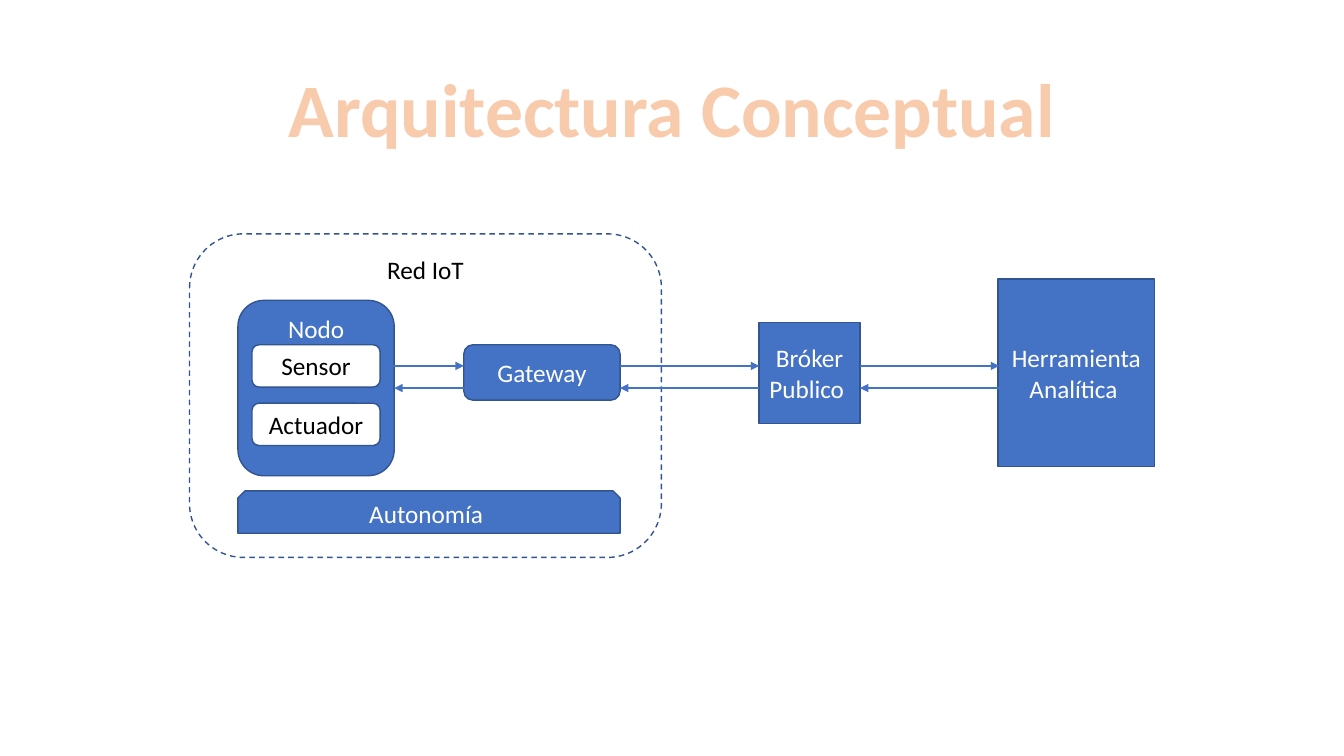
from pptx import Presentation
from pptx.dml.color import RGBColor
from pptx.enum.dml import MSO_LINE
from pptx.enum.shapes import MSO_CONNECTOR, MSO_SHAPE as SHAPE
from pptx.enum.text import MSO_ANCHOR as ANCHOR, MSO_AUTO_SIZE, PP_ALIGN
from pptx.oxml.ns import qn
from pptx.util import Pt
from lxml.etree import SubElement

PX = 9144
COLORS = {
    "blue": "4472C4",
    "border": "325491",
    "white": "FFFFFF",
    "black": "000000",
    "peach": "F8CBAD",
}


def color(name):
    return RGBColor.from_string(COLORS[name])


def write(frame, text, size=18, ink="white", bold=False, anchor=ANCHOR.MIDDLE, wrap=True):
    frame.word_wrap = wrap
    frame.vertical_anchor = anchor
    frame.text = text
    paragraph = frame.paragraphs[0]
    paragraph.alignment = PP_ALIGN.CENTER
    font = paragraph.runs[0].font
    font.name = "Calibri"
    font.size = Pt(size)
    font.bold = bold
    font.color.rgb = color(ink)


def block(slide, box, text, kind=SHAPE.ROUNDED_RECTANGLE, fill="blue", **text_format):
    part = slide.shapes.add_shape(kind, *(value * PX for value in box))
    part.shadow.inherit = False
    if fill:
        part.fill.solid()
        part.fill.fore_color.rgb = color(fill)
    else:
        part.fill.background()
    part.line.color.rgb = color("border")
    part.line.width = Pt(1)
    write(part.text_frame, text, **text_format)
    return part


def arrow(slide, start, end, y):
    link = slide.shapes.add_connector(
        MSO_CONNECTOR.STRAIGHT, start * PX, y * PX, end * PX, y * PX)
    link.line.color.rgb = color("blue")
    link.line.width = Pt(1)
    SubElement(link.line._get_or_add_ln(), qn("a:tailEnd"), type="triangle")
    SubElement(link._element.spPr, qn("a:effectLst"))
    return link


def heading(slide, box):
    title = slide.shapes.title
    title.left, title.top, title.width, title.height = (value * PX for value in box)
    write(title.text_frame, "Arquitectura Conceptual", size=54, ink="peach",
          bold=True, anchor=ANCHOR.TOP, wrap=False)
    title.text_frame.auto_size = MSO_AUTO_SIZE.SHAPE_TO_FIT_TEXT


def iot_network(slide, box):
    left, top = box[:2]
    network = block(slide, box, "Red IoT", fill=None, ink="black", anchor=ANCHOR.TOP)
    network.line.dash_style = MSO_LINE.DASH
    block(slide, (left + 272, top + 110, 155, 55), "Gateway")
    node = block(slide, (left + 48, top + 66, 155, 174), "Nodo", anchor=ANCHOR.TOP)
    for row, device in enumerate(("Sensor", "Actuador")):
        block(slide, (left + 62, top + 110 + 58 * row, 127, 42), device,
              fill="white", ink="black")
    block(slide, (left + 48, top + 255, 379, 42), "Autonomía ",
          kind=SHAPE.SNIP_2_SAME_RECTANGLE)
    return node


def services(slide, box):
    left, top, width, height = box
    block(slide, (left, top + 43, 100, 100), "Bróker Publico ", kind=SHAPE.RECTANGLE)
    block(slide, (left + width - 155, top, 155, height), "Herramienta Analítica ",
          kind=SHAPE.RECTANGLE)


def data_flow(slide, box, node):
    left, top, width, height = box
    gaps = ((left, left + 70), (left + 225, left + 363), (left + 463, left + width))
    for start, end in gaps:
        arrow(slide, start, end, top)
        reply = arrow(slide, end, start, top + height)
        if start == left:
            reply.end_connect(node, 3)


def main():
    deck = Presentation()
    deck.slide_width = 1333 * PX
    deck.slide_height = 750 * PX
    slide = deck.slides.add_slide(deck.slide_layouts[5])
    heading(slide, (272, 56, 789, 101))
    services(slide, (753, 277, 392, 186))
    node = iot_network(slide, (188, 232, 468, 321))
    data_flow(slide, (390, 363, 601, 22), node)
    deck.save("out.pptx")


if __name__ == "__main__":
    main()
